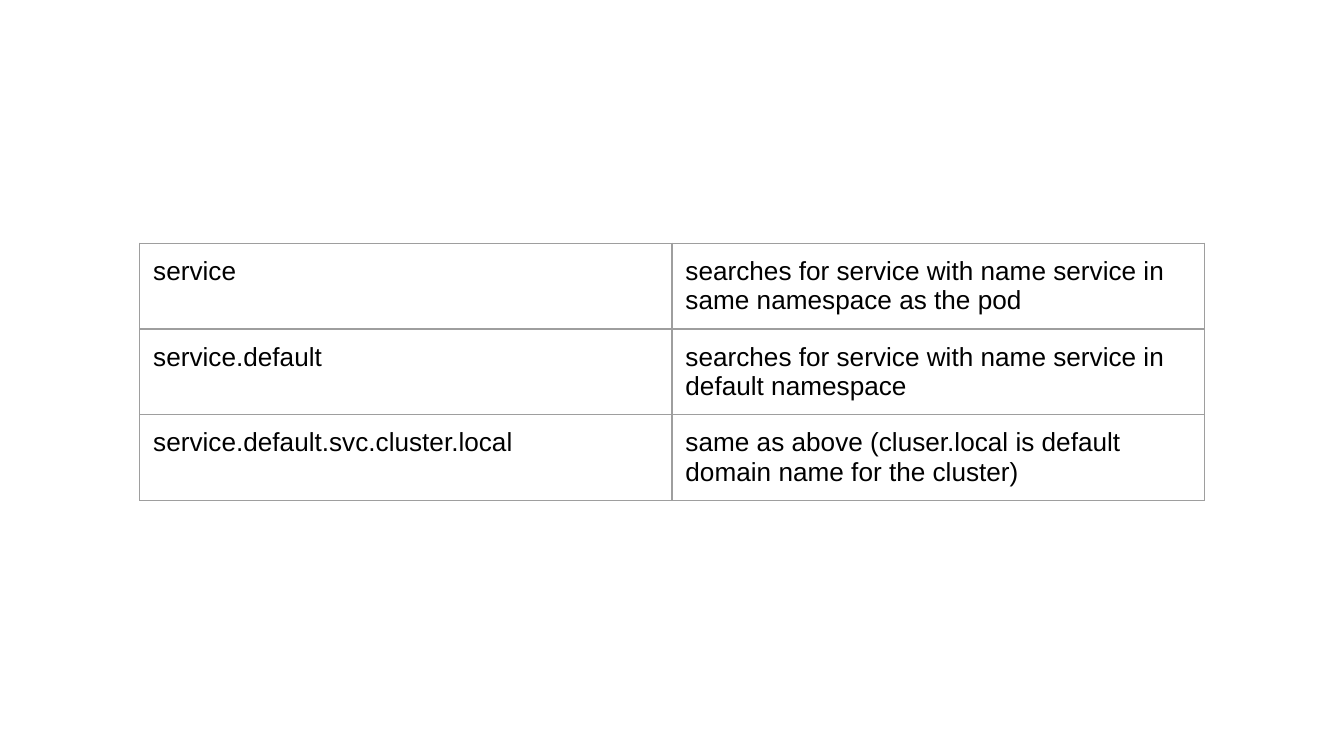
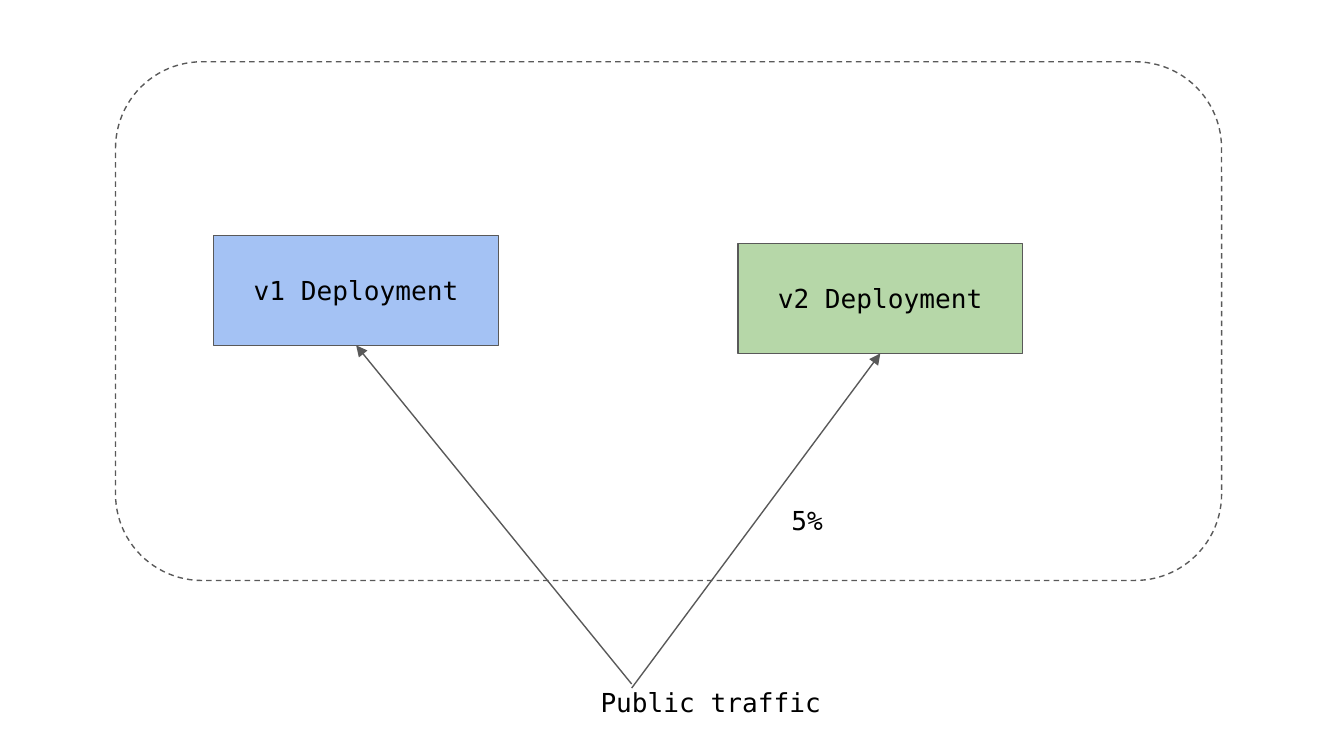
from lxml import etree
from pptx import Presentation
from pptx.dml.color import RGBColor
from pptx.enum.dml import MSO_LINE
from pptx.enum.shapes import MSO_CONNECTOR, MSO_SHAPE
from pptx.enum.text import MSO_ANCHOR, MSO_AUTO_SIZE, PP_ALIGN
from pptx.oxml.ns import qn
from pptx.util import Inches, Pt

BLACK = RGBColor(0x00, 0x00, 0x00)
GRAY = RGBColor(0x59, 0x59, 0x59)
BORDER = RGBColor(0x9E, 0x9E, 0x9E)
BLUE = RGBColor(0xA4, 0xC2, 0xF4)
GREEN = RGBColor(0xB6, 0xD7, 0xA8)
SANS, MONO = "Arial", "DejaVu Sans Mono"
INSET = Inches(0.1)
LINE_WIDTH = Pt(0.75)

DNS_NAMES = [
    ("service",
     "searches for service with name service in same namespace as the pod"),
    ("service.default",
     "searches for service with name service in default namespace"),
    ("service.default.svc.cluster.local",
     "same as above (cluser.local is default domain name for the cluster)"),
]


def set_margins(target):
    """Give a cell or text frame the shared inset on every side."""
    target.margin_left = target.margin_right = INSET
    target.margin_top = target.margin_bottom = INSET


def write(tf, text, font=MONO, size=14, color=BLACK, align=PP_ALIGN.LEFT):
    """Write one formatted paragraph into a text frame."""
    p = tf.paragraphs[0]
    p.alignment = align
    r = p.add_run()
    r.text = text
    r.font.name = font
    r.font.size = Pt(size)
    r.font.color.rgb = color


def set_borders(cell):
    """Draw a thin solid border on all four sides of a cell."""
    tc_pr = cell._tc.get_or_add_tcPr()
    for i, side in enumerate(("a:lnL", "a:lnR", "a:lnT", "a:lnB")):
        ln = etree.Element(qn(side), w=str(LINE_WIDTH))
        fill = etree.SubElement(ln, qn("a:solidFill"))
        etree.SubElement(fill, qn("a:srgbClr"), val=str(BORDER))
        tc_pr.insert(i, ln)


def add_grid(s, rows, left, top, col_width, row_height):
    """Add a plain bordered table with equal columns and rows."""
    n_rows, n_cols = len(rows), len(rows[0])
    table = s.shapes.add_table(
        n_rows, n_cols, Inches(left), Inches(top),
        Inches(col_width * n_cols), Inches(row_height * n_rows)).table
    table.first_row = table.horz_banding = False
    for i, row in enumerate(rows):
        for j, text in enumerate(row):
            cell = table.cell(i, j)
            set_margins(cell)
            cell.fill.background()
            set_borders(cell)
            write(cell.text_frame, text, font=SANS)


def add_box(s, kind, left, top, width, height, fill=None, text=None):
    """Add an outlined shape with an optional fill and centred label."""
    sp = s.shapes.add_shape(kind, Inches(left), Inches(top),
                            Inches(width), Inches(height))
    sp.shadow.inherit = False
    sp.line.color.rgb = GRAY
    sp.line.width = LINE_WIDTH
    if fill is None:
        sp.fill.background()
    else:
        sp.fill.solid()
        sp.fill.fore_color.rgb = fill
    if text:
        tf = sp.text_frame
        tf.word_wrap = True
        tf.vertical_anchor = MSO_ANCHOR.MIDDLE
        set_margins(tf)
        write(tf, text, align=PP_ALIGN.CENTER)
    return sp


def add_label(s, text, left, top, width=4.03, height=0.44):
    """Add a text box that grows with its text."""
    tf = s.shapes.add_textbox(Inches(left), Inches(top),
                              Inches(width), Inches(height)).text_frame
    tf.word_wrap = True
    tf.auto_size = MSO_AUTO_SIZE.SHAPE_TO_FIT_TEXT
    set_margins(tf)
    write(tf, text)


def add_arrow(s, x, y, box):
    """Draw an arrow from a point to the bottom middle of a box."""
    cxn = s.shapes.add_connector(MSO_CONNECTOR.STRAIGHT, Inches(x), Inches(y),
                                 box.left + box.width // 2,
                                 box.top + box.height)
    cxn.end_connect(box, 2)
    cxn.line.color.rgb = GRAY
    cxn.line.width = LINE_WIDTH
    etree.SubElement(cxn.line._get_or_add_ln(), qn("a:tailEnd"),
                     type="triangle", w="med", len="med")
    etree.SubElement(cxn._element.spPr, qn("a:effectLst"))


def add_canary(s):
    """Draw public traffic split between two deployments."""
    cluster = add_box(s, MSO_SHAPE.ROUNDED_RECTANGLE, 0.86, 0.46, 8.23, 3.86)
    cluster.line.dash_style = MSO_LINE.DASH
    v1 = add_box(s, MSO_SHAPE.RECTANGLE, 1.59, 1.75, 2.12, 0.82,
                 fill=BLUE, text="v1 Deployment")
    v2 = add_box(s, MSO_SHAPE.RECTANGLE, 5.49, 1.81, 2.12, 0.82,
                 fill=GREEN, text="v2 Deployment")
    add_arrow(s, 4.7, 5.12, v2)
    add_label(s, "Public traffic", 4.37, 5.01)
    add_arrow(s, 4.7, 5.09, v1)
    add_label(s, "5%", 5.79, 3.65)


def main():
    """Build both slides and save the file."""
    prs = Presentation()
    prs.slide_width, prs.slide_height = Inches(10), Inches(5.625)
    blank = prs.slide_layouts[6]
    add_grid(prs.slides.add_slide(blank), DNS_NAMES, 1.04, 1.81, 3.96, 0.42)
    add_canary(prs.slides.add_slide(blank))
    prs.save("out.pptx")


if __name__ == "__main__":
    main()
